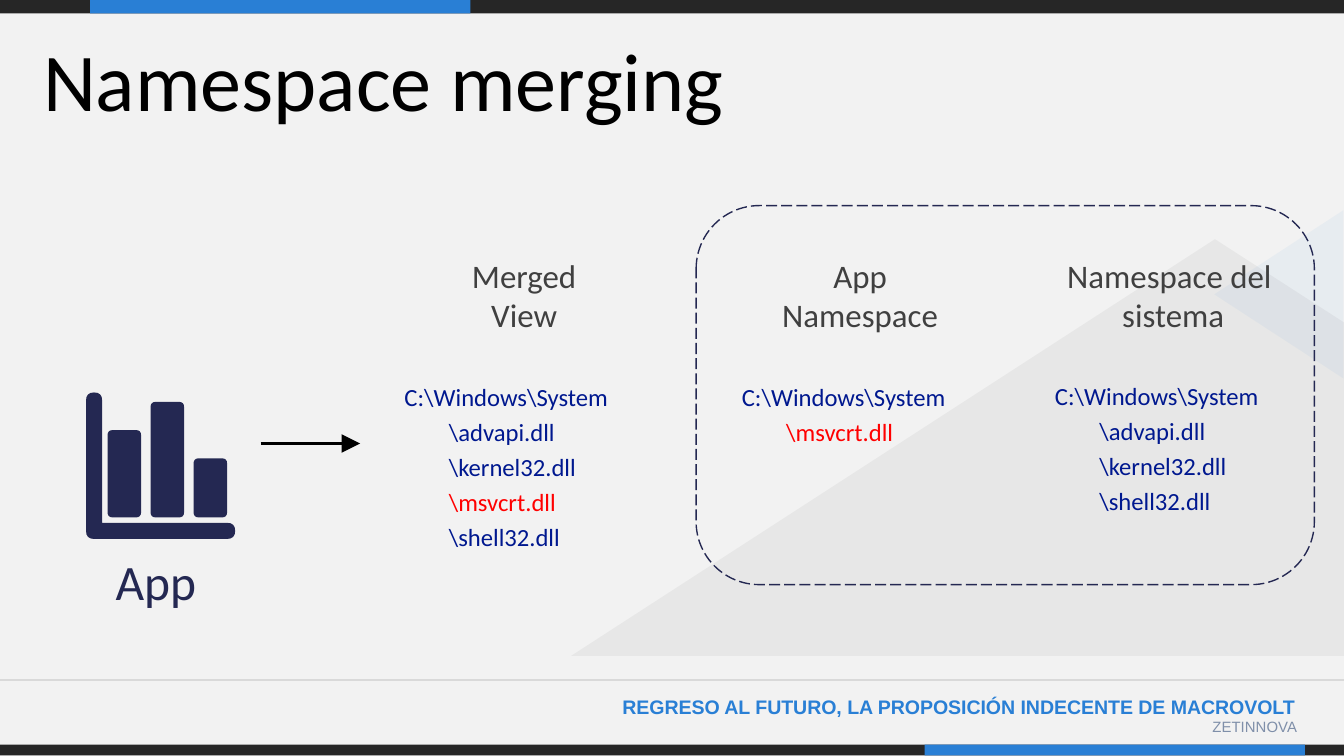
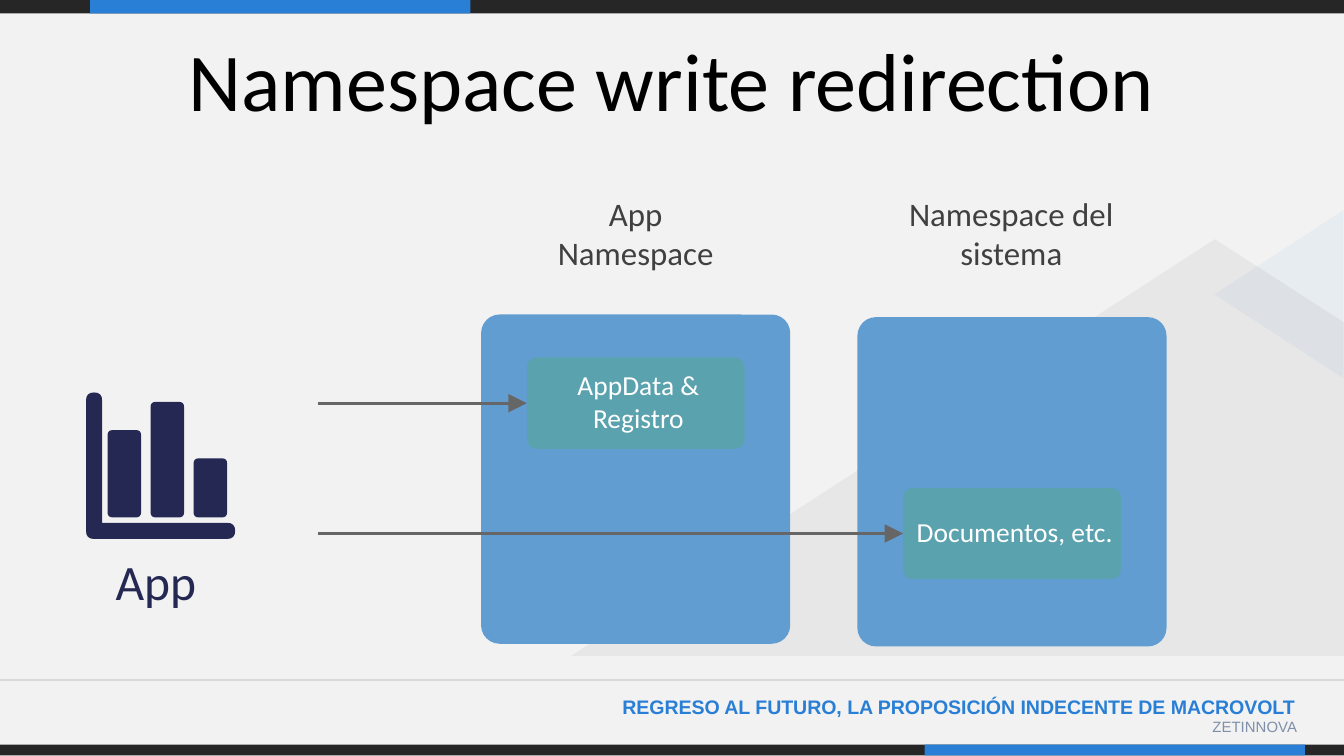
from math import copysign
from lxml import etree
from pptx import Presentation
from pptx.dml.color import RGBColor
from pptx.enum.dml import MSO_LINE
from pptx.enum.shapes import MSO_CONNECTOR, MSO_SHAPE
from pptx.enum.text import MSO_ANCHOR, PP_ALIGN
from pptx.oxml.ns import qn
from pptx.util import Pt

PX = 9144  # 100 px to the inch
RECT, ROUND = MSO_SHAPE.RECTANGLE, MSO_SHAPE.ROUNDED_RECTANGLE
TRI = MSO_SHAPE.ISOSCELES_TRIANGLE
LEFT, MID, RIGHT = PP_ALIGN.LEFT, PP_ALIGN.CENTER, PP_ALIGN.RIGHT
COLORS = {
    "page": "F2F2F2", "dark": "262626", "blue": "297FD5", "muted": "7F8FA9",
    "rule": "D9D9D9", "navy": "242852", "head": "404040", "code": "00188F",
    "red": "FF0000", "panel": "629DD1", "teal": "5AA2AE", "arrow": "666666",
    "black": "000000", "white": "FFFFFF",
}
RGB = {name: RGBColor.from_string(code) for name, code in COLORS.items()}
PAD, SNUG, WIDE, TIGHT = (10, 5, 10, 5), (7, 4, 7, 4), (15, 12, 15, 12), (7, 0, 3, 3)


def paint(shape, fill, alpha=None):
    """Give a shape a plain fill without line or shadow."""
    shape.shadow.inherit = False
    shape.line.fill.background()
    if fill is None:
        shape.fill.background()
        return shape
    shape.fill.solid()
    shape.fill.fore_color.rgb = RGB[fill]
    if alpha:
        color = shape.element.spPr.find(qn("a:solidFill"))[0]
        etree.SubElement(color, qn("a:alpha")).set("val", str(alpha * 1000))
    return shape


def write(shape, lines, size, color, align=LEFT, pad=PAD, face="Calibri",
          bold=False, wrap=True, loose=False):
    """Write one paragraph per line; file names under a folder are indented."""
    frame = shape.text_frame
    frame.word_wrap = wrap
    (frame.margin_left, frame.margin_top,
     frame.margin_right, frame.margin_bottom) = [v * PX for v in pad]
    for i, line in enumerate(lines):
        para = frame.add_paragraph() if i else frame.paragraphs[0]
        para.alignment = align
        if line.startswith("\\"):
            props = para._p.get_or_add_pPr()
            props.set("marL", str(33 * PX))
            props.set("indent", "0")
        if loose:
            para.line_spacing, para.space_after = 0.9, Pt(4.4)
        for j, words in enumerate(line.split("\n")):
            if j:
                para.add_line_break()
            run = para.add_run()
            run.text = words
            font = run.font
            font.name, font.size, font.bold = face, Pt(size), bold
            font.color.rgb = RGB["red" if line == "\\msvcrt.dll" else color]


# Slides, background and titles
deck = Presentation()
deck.slide_width = 1000 * PX
deck.slide_height = deck.slide_width * 9 // 16
layout = deck.slide_layouts[5]
back = deck.slide_master.background.fill
back.solid()
back.fore_color.rgb = RGB["page"]
merge, write_to = [deck.slides.add_slide(layout) for _ in range(2)]
heads = [(merge, "Namespace merging", LEFT),
         (write_to, "Namespace write redirection", MID)]
for slide, words, align in heads:
    title = slide.shapes.title
    title.left, title.top, title.width, title.height = [
        v * PX for v in (22, 17, 956, 81)]
    title.text_frame.vertical_anchor = MSO_ANCHOR.TOP
    write(title, [words], 44, "black", align)

# Shared bands, footer and mountain, moved to the layout at the end
decor = []
bands = [(0, 0, 1000, 10, "dark"), (67, 0, 283, 10, "blue"),
         (0, 554, 1000, 8, "dark"), (688, 554, 283, 8, "blue")]
for x, y, w, h, fill in bands:
    band = merge.shapes.add_shape(RECT, x * PX, y * PX, w * PX, h * PX)
    decor.append(paint(band, fill))

foot = [(450, 512, 524, 40, 10.5, "blue", True,
         "REGRESO AL FUTURO, LA PROPOSICIÓN INDECENTE DE MACROVOLT"),
        (794, 529, 181, 31, 8, "muted", False, "ZETINNOVA")]
for x, y, w, h, size, color, bold, words in foot:
    note = merge.shapes.add_textbox(x * PX, y * PX, w * PX, h * PX)
    write(note, [words], size, color, RIGHT, face="Arial", bold=bold)
    decor.append(note)

hill = merge.shapes.build_freeform(1000, 488, scale=PX)
hill.add_line_segments([(1000, 240), (904, 178), (425, 488)])
decor.append(paint(hill.convert_to_shape(), "dark", 5))
peak = merge.shapes.add_shape(TRI, 889 * PX, 171 * PX, 125 * PX, 96 * PX)
peak.rotation = 270
decor.append(paint(peak, "blue", 5))

# App icon: three bars and an axis, each corner as x, y, radius
parts = []
for x, y in [(80, 320), (112, 299), (144, 341)]:
    parts.append([(x, y, 4), (x + 25, y, 4), (x + 25, 385, 4), (x, 385, 4)])
parts.append([(64, 292, 6), (76, 292, 6), (76, 389, 0),
              (175, 389, 6), (175, 401, 6), (64, 401, 6)])
rings = []
for part in parts:
    ring = []
    for i, (x, y, r) in enumerate(part):
        ends = []
        for nx, ny, _ in (part[i - 1], part[(i + 1) % len(part)]):
            dx, dy = nx - x, ny - y
            ends.append((x + (copysign(r, dx) if dx else 0),
                         y + (copysign(r, dy) if dy else 0)))
        (ax, ay), (bx, by) = ends
        for t in (0, 0.25, 0.5, 0.75, 1):
            u = 1 - t
            ring.append(((u * u * ax + 2 * u * t * x + t * t * bx) * PX,
                         (u * u * ay + 2 * u * t * y + t * t * by) * PX))
    rings.append(ring)

for slide in (merge, write_to):
    icon = slide.shapes.build_freeform(*rings[0][0], scale=1.0)
    icon.add_line_segments(rings[0][1:])
    for ring in rings[1:]:
        icon.move_to(*ring[0])
        icon.add_line_segments(ring[1:])
    paint(icon.convert_to_shape(), "navy")
    label = slide.shapes.add_textbox(71 * PX, 403 * PX, 99 * PX, 64 * PX)
    write(label, ["App"], 26.5, "navy", pad=WIDE, loose=True)

# Merging: dashed frame and file lists
frame = merge.shapes.add_shape(ROUND, 518 * PX, 153 * PX, 460 * PX, 282 * PX)
paint(frame, None)
frame.line.color.rgb = RGB["navy"]
frame.line.width = Pt(0.75)
frame.line.dash_style = MSO_LINE.LONG_DASH

lists = [
    (286, 275, ["\\advapi.dll", "\\kernel32.dll", "\\msvcrt.dll", "\\shell32.dll"]),
    (537, 275, ["\\msvcrt.dll"]),
    (770, 274, ["\\advapi.dll", "\\kernel32.dll", "\\shell32.dll"]),
]
for x, y, files in lists:
    box = merge.shapes.add_textbox(x * PX, y * PX, 193 * PX, 127 * PX)
    write(box, ["C:\\Windows\\System"] + files, 13.2, "code", pad=WIDE, loose=True)

# Redirection: panels with their targets
targets = []
panels = [(358, 234, 266, "AppData & Registro"),
          (638, 236, 363, "Documentos, etc.")]
for x, y, top, words in panels:
    panel = write_to.shapes.add_shape(ROUND, x * PX, y * PX, 230 * PX, 245 * PX)
    panel.adjustments[0] = 0.06
    paint(panel, "panel")
    goal = write_to.shapes.add_shape(
        ROUND, (x + 34) * PX, top * PX, 162 * PX, 68 * PX)
    goal.adjustments[0] = 0.11
    write(paint(goal, "teal"), [words], 14.7, "white", MID, TIGHT)
    targets.append(goal)

# Column headings on both slides
merged, app = ["Merged\nView"], ["App\nNamespace"]
columns = [(merge, 343, 186, 94, merged), (merge, 574, 186, 132, app),
           (merge, 786, 186, 174, ["Namespace del ", "sistema"]),
           (write_to, 407, 140, 132, app),
           (write_to, 668, 140, 169, ["Namespace del", "sistema"])]
for slide, x, y, w, lines in columns:
    box = slide.shapes.add_textbox(x * PX, y * PX, w * PX, 67 * PX)
    write(box, lines, 17.6, "head", MID, SNUG, wrap=False)

# Footer rule and arrows
wires = [(merge, 0, 506, 1000, "rule", 0.75, None),
         (merge, 194, 330, 268, "black", 1.5, None),
         (write_to, 237, 300, 392, "arrow", 1.5, targets[0]),
         (write_to, 237, 397, 672, "arrow", 1.5, targets[1])]
for slide, x, y, end, color, width, goal in wires:
    wire = slide.shapes.add_connector(
        MSO_CONNECTOR.STRAIGHT, x * PX, y * PX, end * PX, y * PX)
    wire.line.color.rgb = RGB[color]
    wire.line.width = Pt(width)
    props = wire.element.spPr
    etree.SubElement(props, qn("a:effectLst"))
    if color == "rule":
        decor.append(wire)
    else:
        tail = etree.SubElement(props.find(qn("a:ln")), qn("a:tailEnd"))
        for key, value in (("type", "triangle"), ("w", "lg"), ("len", "lg")):
            tail.set(key, value)
    if goal is not None:
        wire.end_connect(goal, 1)

# Move the shared parts to the layout under fresh ids
for i, item in enumerate(decor):
    item.element.xpath(".//p:cNvPr")[0].set("id", str(100 + i))
    layout.shapes.element.append(item.element)

deck.save("out.pptx")
